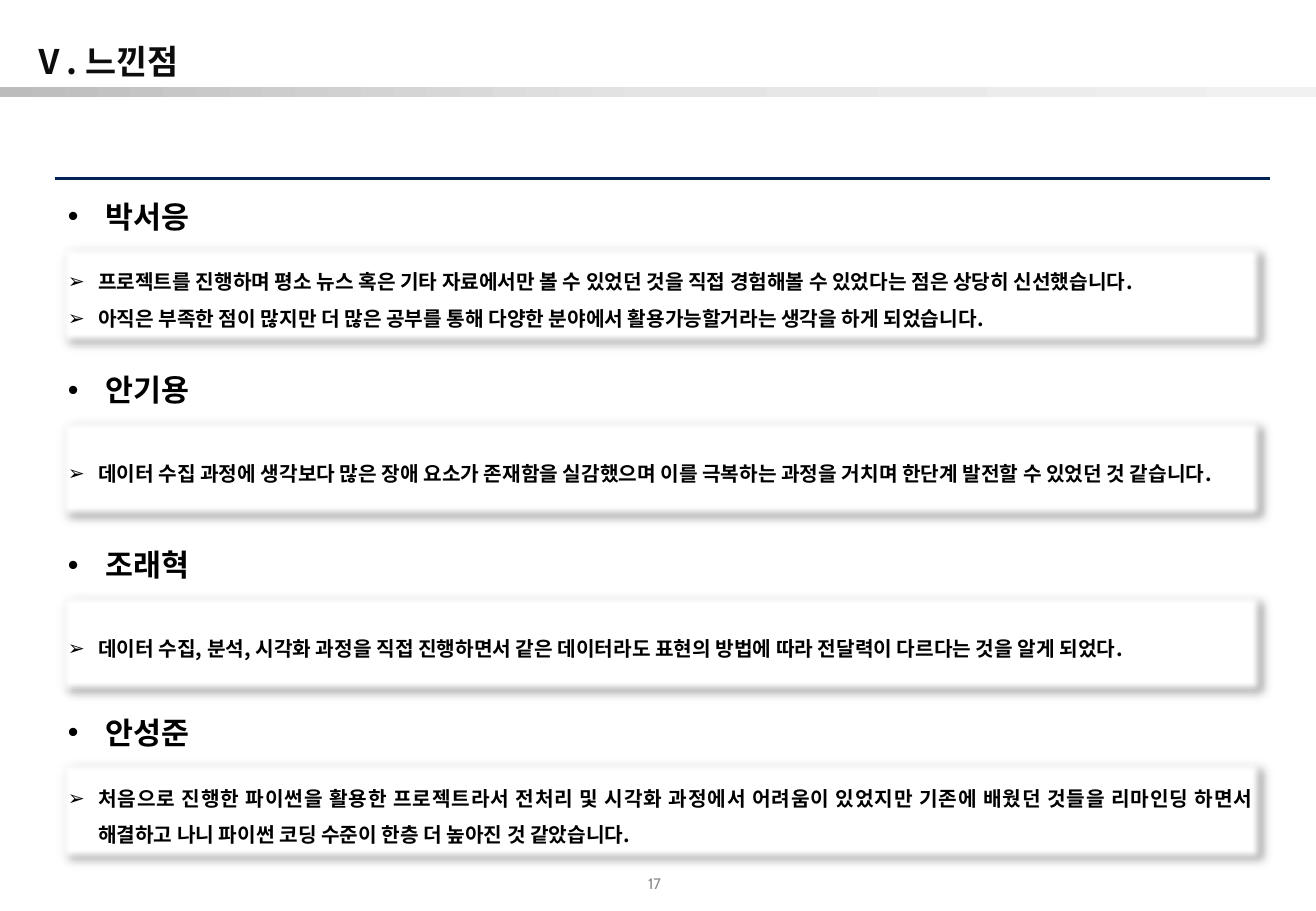
"""Builds the closing slide on which four team members share their impressions."""
from lxml import etree
from pptx import Presentation, util as u
from pptx.dml.color import RGBColor
from pptx.enum import shapes, text as t
from pptx.oxml.ns import qn

WIDE, HIGH = 10.83, 7.5
FONT = "Noto Sans CJK KR"
TITLE = "Ⅴ. 느낀점"
PAGE = "17"
BAND = [(0, "BCBCBC"), (50, "E4E4E4"), (100, "F1F1F1")]
LEFT, SPAN, HEAD, BODY = 0.46, 9.96, 0.4, 0.88
TEAM = [
    ("박서응", 1.98, [
        "프로젝트를 진행하며 평소 뉴스 혹은 기타 자료에서만 볼 수 있었던 것을 직접 경험해볼 수 있었다는 점은 상당히 신선했습니다.",
        "아직은 부족한 점이 많지만 더 많은 공부를 통해 다양한 분야에서 활용가능할거라는 생각을 하게 되었습니다."]),
    ("안기용", 3.41, [
        "데이터 수집 과정에 생각보다 많은 장애 요소가 존재함을 실감했으며 이를 극복하는 과정을 거치며 한단계 발전할 수 있었던 것 같습니다."]),
    ("조래혁", 4.85, [
        "데이터 수집, 분석, 시각화 과정을 직접 진행하면서 같은 데이터라도 표현의 방법에 따라 전달력이 다르다는 것을 알게 되었다."]),
    ("안성준", 6.23, [
        "처음으로 진행한 파이썬을 활용한 프로젝트라서 전처리 및 시각화 과정에서 어려움이 있었지만 기존에 배웠던 것들을 리마인딩 하면서 해결하고 나니 파이썬 코딩 수준이 한층 더 높아진 것 같았습니다."]),
]


def tint(code):
    return RGBColor.from_string(code)


def node(up, tag, **attrs):
    return etree.SubElement(up, qn("a:" + tag), {k: str(v) for k, v in attrs.items()})


def area(*sides):
    return [u.Inches(side) for side in sides]


def write(shape, lines, size=12, font=FONT, color="000000", bold=True, align="LEFT",
          anchor="TOP", inset=(0.1, 0.05, 0.1, 0.05), wrap=True, gap=None, after=None,
          mark=None, indent=0):
    frame = shape.text_frame
    frame.word_wrap = wrap
    frame.vertical_anchor = t.MSO_ANCHOR[anchor]
    (frame.margin_left, frame.margin_top,
     frame.margin_right, frame.margin_bottom) = area(*inset)
    for i, line in enumerate(lines):
        para = frame.add_paragraph() if i else frame.paragraphs[0]
        para.alignment = t.PP_ALIGN[align]
        if gap:
            para.line_spacing = gap
        if after:
            para.space_after = u.Pt(after)
        if mark:
            props = para._p.get_or_add_pPr()
            props.set("marL", str(u.Inches(indent)))
            props.set("indent", str(-u.Inches(indent)))
            node(props, "buFont", typeface="Arial")
            node(props, "buChar", char=mark)
        run = para.add_run()
        run.text = line
        run.font.size, run.font.bold = u.Pt(size), bold
        run.font.name, run.font.color.rgb = font, tint(color)
        node(run._r.get_or_add_rPr(), "ea", typeface=font)


def label(slide, box, lines, **form):
    write(slide.shapes.add_textbox(*area(*box)), lines, **form)


def rect(slide, box):
    shape = slide.shapes.add_shape(shapes.MSO_SHAPE.RECTANGLE, *area(*box))
    shape.shadow.inherit = False
    return shape


def band(slide):
    shape = rect(slide, (-0.01, 0.72, WIDE + 0.01, 0.08))
    shape.line.fill.background()
    shape.fill.gradient()
    shape.fill.gradient_angle = 0
    stops = shape._element.spPr.find(".//" + qn("a:gsLst"))
    for stop in list(stops):
        stops.remove(stop)
    for pos, code in BAND:
        node(node(stops, "gs", pos=pos * 1000), "srgbClr", val=code)


def rule(slide):
    line = slide.shapes.add_connector(
        shapes.MSO_CONNECTOR.STRAIGHT, *area(0.45, 1.47, 10.45, 1.47))
    line.line.color.rgb, line.line.width = tint("002458"), u.Pt(1.75)
    node(line._element.spPr, "effectLst")


def card(slide, top, lines):
    shape = rect(slide, (LEFT, top, SPAN, BODY))
    shape.fill.solid()
    shape.fill.fore_color.rgb = tint("FFFFFF")
    shape.line.color.rgb, shape.line.width = tint("262F3B"), u.Pt(1)
    glow = shape._element.spPr.find(qn("a:effectLst"))
    shade = node(glow, "outerShdw", blurRad=u.Pt(4), dist=u.Pt(3), dir=45 * 60000,
                 algn="tl", rotWithShape=0)
    node(node(shade, "srgbClr", val="000000"), "alpha", val=40000)
    node(glow, "softEdge", rad=u.Pt(5))
    write(shape, lines, align="JUSTIFY", anchor="MIDDLE", gap=1.5, mark="➢", indent=0.25)


def main():
    deck = Presentation()
    deck.slide_width, deck.slide_height = area(WIDE, HIGH)
    slide = deck.slides.add_slide(deck.slide_layouts[6])
    label(slide, (5.25, 7.2, 0.19, 0.2), [PAGE], size=9, font="Cabin", color="8C8C8C",
          bold=False, align="RIGHT", anchor="MIDDLE", inset=(0, 0, 0, 0.05), wrap=False)
    band(slide)
    rule(slide)
    label(slide, (-0.01, 0.16, WIDE, 0.52), [TITLE], size=20, color="0D0D0D",
          anchor="MIDDLE", inset=(0.28, 0, 0, 0), gap=1.5, after=7.3)
    for name, top, lines in TEAM:
        card(slide, top, lines)
        label(slide, (LEFT, top - HEAD, 7.62, HEAD), [name], size=18, mark="•", indent=0.31)
    deck.save("out.pptx")


if __name__ == "__main__":
    main()
